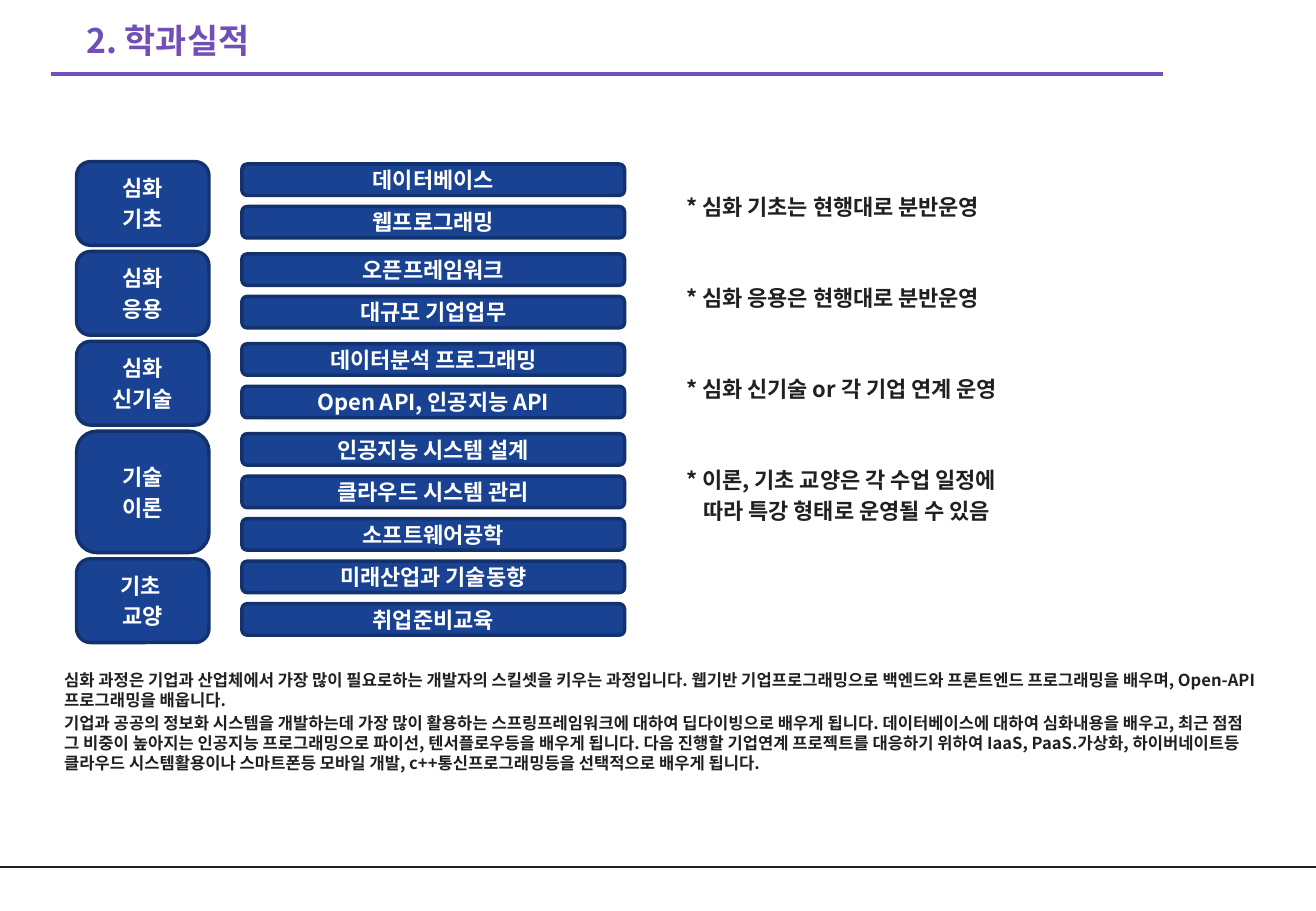
"""Build the department results slide with its curriculum chart."""
from lxml import etree
from pptx import Presentation
from pptx.dml.color import RGBColor
from pptx.enum import shapes, text
from pptx.oxml import ns
from pptx.util import Inches, Pt

TITLE = "2. 학과실적"
COURSES = [
    (["심화", "기초"], ["데이터베이스", "웹프로그래밍"]),
    (["심화", "응용"], ["오픈프레임워크", "대규모 기업업무"]),
    (["심화", "신기술"], ["데이터분석 프로그래밍", "Open API, 인공지능 API"]),
    (["기술", "이론"], ["인공지능 시스템 설계", "클라우드 시스템 관리", "소프트웨어공학"]),
    (["기초 ", "교양"], ["미래산업과 기술동향", "취업준비교육"]),
]
NOTES = [
    ["* 심화 기초는 현행대로 분반운영"],
    ["* 심화 응용은 현행대로 분반운영"],
    ["* 심화 신기술 or 각 기업 연계 운영"],
    ["* 이론, 기초 교양은 각 수업 일정에", "따라 특강 형태로 운영될 수 있음"],
]
DESCRIPTION = [
    "심화 과정은 기업과 산업체에서 가장 많이 필요로하는 개발자의 스킬셋을 키우는 과정입니다. "
    "웹기반 기업프로그래밍으로 백엔드와 프론트엔드 프로그래밍을 배우며, Open-API프로그래밍을 배웁니다.",
    "기업과 공공의 정보화 시스템을 개발하는데 가장 많이 활용하는 스프링프레임워크에 대하여 "
    "딥다이빙으로 배우게 됩니다. 데이터베이스에 대하여 심화내용을 배우고, 최근 점점 그 비중이 "
    "높아지는 인공지능 프로그래밍으로 파이선, 텐서플로우등을 배우게 됩니다. 다음 진행할 기업연계 "
    "프로젝트를 대응하기 위하여 IaaS, PaaS.가상화, 하이버네이트등 클라우드 시스템활용이나 "
    "스마트폰등 모바일 개발, c++통신프로그래밍등을 선택적으로 배우게 됩니다.",
]

FONT = "Noto Sans CJK KR"
PURPLE = RGBColor(0x72, 0x4F, 0xB7)
BLUE = RGBColor(0x19, 0x42, 0x93)
NAVY = RGBColor(0x12, 0x31, 0x6D)
INK = RGBColor(0x22, 0x1F, 0x1F)
WHITE = RGBColor(0xFF, 0xFF, 0xFF)

WIDTH, HEIGHT = 10.83, 7.5
GROUP_LEFT, GROUP_TOP, GROUP_WIDTH, GROUP_GAP = 0.63, 1.33, 1.09, 0.05
GROUP_HEIGHTS = {2: 0.69, 3: 1.0}
BAR_LEFT, BAR_WIDTH, BAR_HEIGHT, BAR_STEP, BAR_INSET = 1.99, 3.15, 0.26, 0.35, 0.02
NOTE_LEFT, NOTE_TOP, NOTE_WIDTH, NOTE_STEP, NOTE_INDENT = 5.55, 1.54, 3.2, 0.75, 0.14


def write(shape, lines, size, color, align=text.PP_ALIGN.LEFT, **frame_format):
    """Fill a shape with bold paragraphs."""
    frame = shape.text_frame
    frame.text = "\n".join(lines)
    for name, value in frame_format.items():
        setattr(frame, name, value)
    font_format = {"name": FONT, "size": Pt(size), "bold": True}
    for paragraph in frame.paragraphs:
        paragraph.alignment = align
        paragraph.space_before = Pt(size * 0.2)
        for run in paragraph.runs:
            for name, value in font_format.items():
                setattr(run.font, name, value)
            run.font.color.rgb = color
            east_asian = etree.SubElement(run.font._element, ns.qn("a:ea"))
            east_asian.set("typeface", FONT)


def add_box(slide, lines, left, top, width, height):
    """Add a blue rounded box with centred text."""
    box = slide.shapes.add_shape(
        shapes.MSO_SHAPE.ROUNDED_RECTANGLE,
        Inches(left), Inches(top), Inches(width), Inches(height))
    box.shadow.inherit = False
    box.fill.solid()
    box.fill.fore_color.rgb = BLUE
    box.line.color.rgb = NAVY
    box.line.width = Pt(2)
    write(box, lines, 13, WHITE, text.PP_ALIGN.CENTER,
          vertical_anchor=text.MSO_ANCHOR.MIDDLE)


def add_text(slide, lines, left, top, width, height, size, wrap):
    """Add a dark text box and return it."""
    box = slide.shapes.add_textbox(
        Inches(left), Inches(top), Inches(width), Inches(height))
    write(box, lines, size, INK, word_wrap=wrap,
          auto_size=text.MSO_AUTO_SIZE.SHAPE_TO_FIT_TEXT)
    return box


def add_rule(slide, left, right, top, color, weight):
    """Add a horizontal line without a shadow."""
    rule = slide.shapes.add_connector(
        shapes.MSO_CONNECTOR.STRAIGHT,
        Inches(left), Inches(top), Inches(right), Inches(top))
    rule.line.color.rgb = color
    rule.line.width = Pt(weight)
    etree.SubElement(rule._element.spPr, ns.qn("a:effectLst"))


def add_title(slide):
    """Place and format the title."""
    title = slide.shapes.title
    place = {"left": 0.61, "top": 0.11, "width": 1.66, "height": 0.44}
    for name, value in place.items():
        setattr(title, name, Inches(value))
    write(title, [TITLE], 20, PURPLE, word_wrap=False,
          auto_size=text.MSO_AUTO_SIZE.SHAPE_TO_FIT_TEXT,
          vertical_anchor=text.MSO_ANCHOR.TOP)


def add_courses(slide):
    """Stack the course groups with their subjects beside them."""
    top = GROUP_TOP
    for group, subjects in COURSES:
        height = GROUP_HEIGHTS[len(subjects)]
        add_box(slide, group, GROUP_LEFT, top, GROUP_WIDTH, height)
        for index, subject in enumerate(subjects):
            bar_top = top + BAR_INSET + index * BAR_STEP
            add_box(slide, [subject], BAR_LEFT, bar_top, BAR_WIDTH, BAR_HEIGHT)
        top += height + GROUP_GAP


def add_notes(slide):
    """Add the evenly spaced remarks, indenting continuation lines."""
    for index, lines in enumerate(NOTES):
        note = add_text(slide, lines, NOTE_LEFT, NOTE_TOP + index * NOTE_STEP,
                        NOTE_WIDTH, 0.32 * len(lines), 13, False)
        for paragraph in note.text_frame.paragraphs[1:]:
            properties = paragraph._p.get_or_add_pPr()
            properties.set("marL", str(Inches(NOTE_INDENT)))


def main():
    """Create and save the presentation."""
    presentation = Presentation()
    presentation.slide_width = Inches(WIDTH)
    presentation.slide_height = Inches(HEIGHT)
    slide = presentation.slides.add_slide(presentation.slide_layouts[5])
    add_rule(slide, 0, WIDTH, 7.14, INK, 1)
    add_rule(slide, 0.42, 9.57, 0.61, PURPLE, 2.25)
    add_title(slide)
    add_text(slide, DESCRIPTION, 0.43, 5.47, 10, 0.95, 9.8, True)
    add_courses(slide)
    add_notes(slide)
    presentation.save("out.pptx")


if __name__ == "__main__":
    main()
